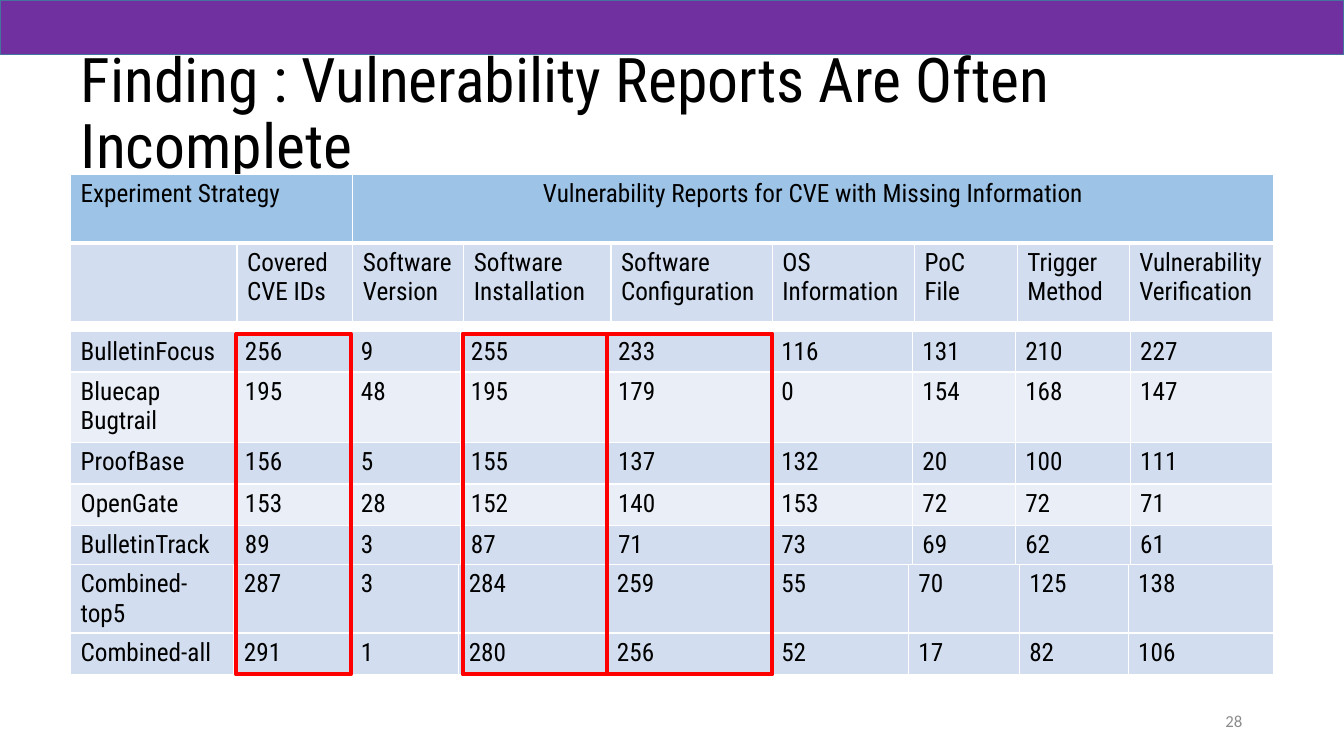
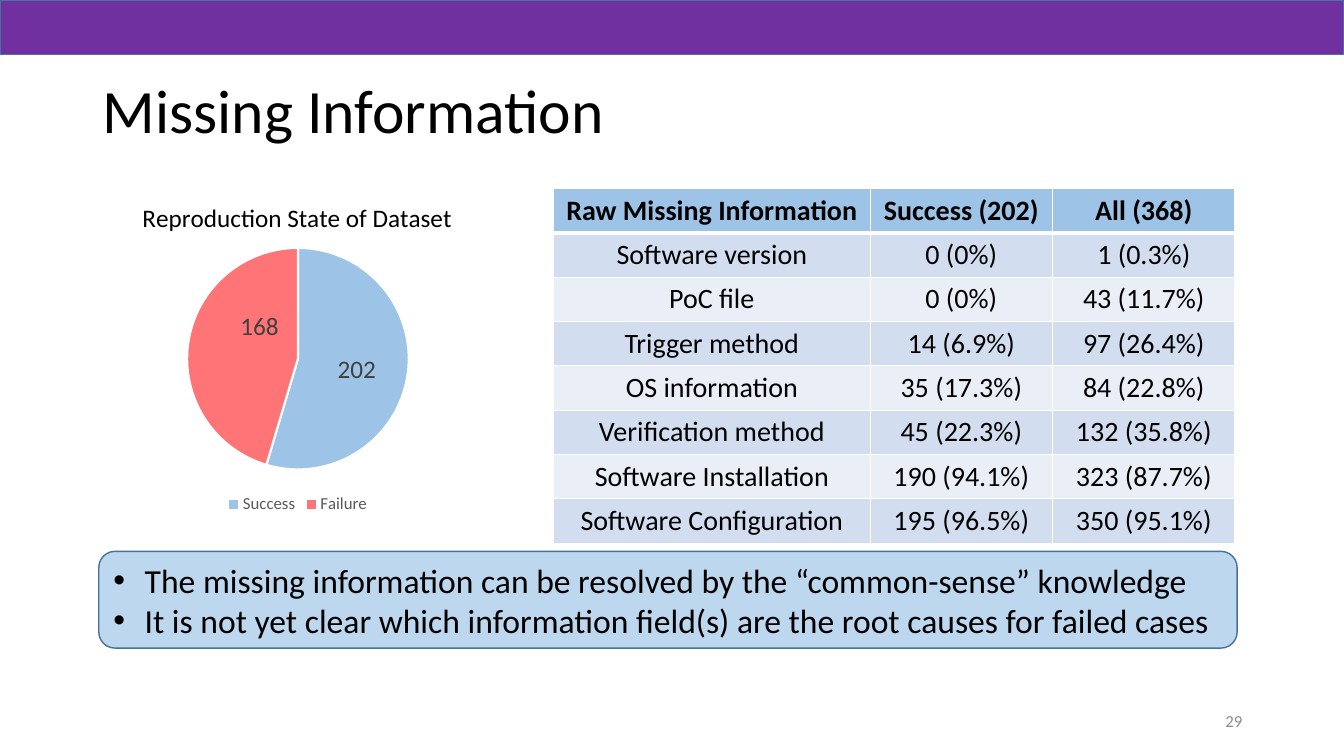
from lxml import etree
from pptx import Presentation
from pptx.chart.data import CategoryChartData
from pptx.dml.color import RGBColor
from pptx.enum.chart import XL_CHART_TYPE, XL_LABEL_POSITION, XL_LEGEND_POSITION
from pptx.enum.shapes import MSO_SHAPE
from pptx.enum.text import MSO_ANCHOR, MSO_AUTO_SIZE, PP_ALIGN
from pptx.oxml import parse_xml
from pptx.oxml.ns import nsdecls, qn
from pptx.util import Inches, Pt

LEFT, CENTER, RIGHT = PP_ALIGN.LEFT, PP_ALIGN.CENTER, PP_ALIGN.RIGHT
MIDDLE = MSO_ANCHOR.MIDDLE
RECTANGLE, ROUNDED = MSO_SHAPE.RECTANGLE, MSO_SHAPE.ROUNDED_RECTANGLE

BLACK = RGBColor(0, 0, 0)
WHITE = RGBColor(255, 255, 255)
PURPLE = RGBColor(0x70, 0x30, 0xA0)
EDGE_BLUE = RGBColor(0x43, 0x73, 0x9E)
HEADER_BLUE = RGBColor(0x9D, 0xC3, 0xE6)
NOTE_BLUE = RGBColor(0xBD, 0xD7, 0xEE)
ROW_DARK = RGBColor(0xD2, 0xDE, 0xEF)
ROW_LIGHT = RGBColor(0xEA, 0xEF, 0xF7)
RED = RGBColor(255, 0, 0)
FAILURE_RED = RGBColor(0xFF, 0x74, 0x76)
PAGE_GRAY = RGBColor(0x8C, 0x8C, 0x8C)
LEGEND_GRAY = RGBColor(0x59, 0x59, 0x59)
LABEL_GRAY = RGBColor(0x40, 0x40, 0x40)

BODY_FONT = "Calibri"
CONDENSED = "Roboto Condensed"
TITLE_ONLY = 5

REPORT_HEADINGS = [
    ["Experiment Strategy", "", "Vulnerability Reports for CVE with Missing Information"] + [""] * 6,
    ["", "Covered\nCVE IDs", "Software\nVersion", "Software\nInstallation",
     "Software\nConfiguration", "OS\nInformation", "PoC\nFile", "Trigger\nMethod",
     "Vulnerability\nVerification"],
]
REPORT_SOURCES = [
    ["BulletinFocus", 256, 9, 255, 233, 116, 131, 210, 227],
    ["Bluecap Bugtrail", 195, 48, 195, 179, 0, 154, 168, 147],
    ["ProofBase", 156, 5, 155, 137, 132, 20, 100, 111],
    ["OpenGate", 153, 28, 152, 140, 153, 72, 72, 71],
    ["BulletinTrack", 89, 3, 87, 71, 73, 69, 62, 61],
]
COMBINED_TOP = [["Combined-top5", 287, 3, 284, 259, 55, 70, 125, 138]]
COMBINED_ALL = [["Combined-all", 291, 1, 280, 256, 52, 17, 82, 106]]

HEADING_COLUMNS = [1.65, 1.15, 1.1, 1.46, 1.6, 1.41, 1.02, 1.11, 1.43]
SOURCE_COLUMNS = [1.63, 1.15, 1.09, 1.46, 1.62, 1.4, 1.02, 1.14, 1.41]
COMBINED_COLUMNS = [1.62, 1.16, 1.07, 1.47, 1.63, 1.36, 1.1, 1.08, 1.44]

MISSING_INFORMATION = [
    ["Raw Missing Information", "Success (202)", "All (368)"],
    ["Software version", "0 (0%)", "1 (0.3%)"],
    ["PoC file", "0 (0%)", "43 (11.7%)"],
    ["Trigger method", "14 (6.9%)", "97 (26.4%)"],
    ["OS information", "35 (17.3%)", "84 (22.8%)"],
    ["Verification method", "45 (22.3%)", "132 (35.8%)"],
    ["Software Installation", "190 (94.1%)", "323 (87.7%)"],
    ["Software Configuration", "195 (96.5%)", "350 (95.1%)"],
]
CONCLUSIONS = [
    "The missing information can be resolved by the “common-sense” knowledge",
    "It is not yet clear which information field(s) are the root causes for failed cases",
]


def inches(box):
    return [Inches(length) for length in box]


def set_font(font, size, color=BLACK, name=BODY_FONT, bold=False):
    font.size, font.name, font.bold = Pt(size), name, bold
    font.color.rgb = color


def add_box(page, box, line, width, fill=None, kind=RECTANGLE):
    shape = page.shapes.add_shape(kind, *inches(box))
    shape.shadow.inherit = False
    if fill is None:
        shape.fill.background()
    else:
        shape.fill.solid()
        shape.fill.fore_color.rgb = fill
    shape.line.color.rgb = line
    shape.line.width = Pt(width)
    return shape


def add_page(deck, title, title_box, number, title_font=BODY_FONT):
    """Add a slide with its title, top band and page number."""
    page = deck.slides.add_slide(deck.slide_layouts[TITLE_ONLY])
    heading = page.shapes.title
    heading.left, heading.top, heading.width, heading.height = inches(title_box)
    frame = heading.text_frame
    frame.text = title
    frame.auto_size = MSO_AUTO_SIZE.NONE
    frame.vertical_anchor = MIDDLE
    para = frame.paragraphs[0]
    para.alignment, para.line_spacing = LEFT, 0.9
    set_font(para.font, 44, name=title_font)

    add_box(page, (0, 0, 13.33, 0.54), EDGE_BLUE, 1, PURPLE)

    frame = page.shapes.add_textbox(*inches((9.42, 6.95, 3, 0.4))).text_frame
    frame.word_wrap = True
    frame.vertical_anchor = MIDDLE
    para = frame.paragraphs[0]
    para.text, para.alignment = str(number), RIGHT
    set_font(para.font, 12, PAGE_GRAY)
    return page


def set_borders(cell, top, bottom):
    properties = cell._tc.get_or_add_tcPr()
    for side, width in (("lnL", 1), ("lnR", 1), ("lnT", top), ("lnB", bottom)):
        line = etree.SubElement(properties, qn(f"a:{side}"), w=str(Pt(width)))
        fill = etree.SubElement(line, qn("a:solidFill"))
        etree.SubElement(fill, qn("a:srgbClr"), val=str(WHITE))


def add_grid(page, left, top, columns, heights, rows, fills, size, font,
             align=LEFT, header=False, bold_header=False):
    """Add a table with one fill per row and a thick rule below a header."""
    frame = page.shapes.add_table(
        len(rows), len(columns), *inches((left, top, sum(columns), sum(heights))))
    table = frame.table
    table.first_row = table.horz_banding = False
    for column, width in zip(table.columns, columns):
        column.width = Inches(width)
    for index, (row, height, values) in enumerate(zip(table.rows, heights, rows)):
        row.height = Inches(height)
        is_header = header and index == 0
        for cell, value in zip(row.cells, values):
            set_borders(cell, 3 if header and index == 1 else 1, 3 if is_header else 1)
            cell.fill.solid()
            cell.fill.fore_color.rgb = fills[index]
            cell.text_frame.text = str(value)
            for para in cell.text_frame.paragraphs:
                para.alignment = align
                set_font(para.font, size, name=font, bold=is_header and bold_header)
    return table


def banded(count):
    return [(ROW_DARK, ROW_LIGHT)[index % 2] for index in range(count)]


def set_layout(parent, index, **values):
    """Place a chart part by fractions of the chart; w marks a plot area."""
    for old in parent.findall(qn("c:layout")):
        parent.remove(old)
    layout = parse_xml(f"<c:layout {nsdecls('c')}><c:manualLayout/></c:layout>")
    settings = dict(values)
    if "w" in values:
        settings = {"layoutTarget": "inner", "xMode": "edge", "yMode": "edge", **values}
    for name, value in settings.items():
        etree.SubElement(layout[0], qn(f"c:{name}"), val=str(value))
    parent.insert(index, layout)


def add_state_pie(page, box):
    data = CategoryChartData()
    data.categories = ["Success", "Failure"]
    data.add_series("Series 1", (202, 168))
    chart = page.shapes.add_chart(XL_CHART_TYPE.PIE, *inches(box), data).chart
    set_font(chart.font, 10)

    title = chart.chart_title.text_frame
    title.text = "Reproduction State of Dataset"
    set_font(title.paragraphs[0].font, 18)
    chart.has_legend = True
    chart.legend.position = XL_LEGEND_POSITION.BOTTOM
    chart.legend.include_in_layout = False
    set_font(chart.legend.font, 12, LEGEND_GRAY)

    plot = chart.plots[0]
    plot.vary_by_categories = True
    plot.has_data_labels = True
    plot.data_labels.show_value = True
    plot.data_labels.show_percentage = False
    set_font(plot.data_labels.font, 18, LABEL_GRAY)
    for index, color in enumerate((HEADER_BLUE, FAILURE_RED)):
        point = plot.series[0].points[index]
        point.format.fill.solid()
        point.format.fill.fore_color.rgb = color
        point.format.line.color.rgb = WHITE
        point.format.line.width = Pt(1.5)
        set_font(point.data_label.font, 18, LABEL_GRAY)
        point.data_label.position = XL_LABEL_POSITION.CENTER

    root = chart.element
    set_layout(root.find(f".//{qn('c:title')}"), 1,
               xMode="edge", yMode="edge", x=0.11, y=0.06)
    set_layout(root.find(f".//{qn('c:plotArea')}"), 0, x=0.23, y=0.21, w=0.54, h=0.65)
    offsets = ((0.01, 0.01), (0.04, -0.07))
    for label, (x, y) in zip(root.iter(qn("c:dLbl")), offsets):
        set_layout(label, 1, x=x, y=y)


def add_conclusions(page, box):
    frame = add_box(page, box, EDGE_BLUE, 1, NOTE_BLUE, ROUNDED).text_frame
    frame.word_wrap = True
    frame.vertical_anchor = MIDDLE
    frame.text = "\n".join(CONCLUSIONS)
    for para in frame.paragraphs:
        para.alignment = LEFT
        set_font(para.font, 24)
        properties = para._p.get_or_add_pPr()
        properties.set("marL", str(Inches(0.31)))
        properties.set("indent", str(Inches(-0.31)))
        bullet_font = parse_xml(f'<a:buFont {nsdecls("a")} typeface="Arial"/>')
        bullet = parse_xml(f'<a:buChar {nsdecls("a")} char="•"/>')
        properties.insert(0, bullet_font)
        properties.insert(1, bullet)


def add_finding_page(deck):
    left = 0.7
    page = add_page(deck, "Finding : Vulnerability Reports Are Often Incomplete",
                    (left, 0.42, 11.93, 1.45), 28, CONDENSED)
    headings = add_grid(page, left, 1.73, HEADING_COLUMNS, [0.68, 0.78], REPORT_HEADINGS,
                        [HEADER_BLUE, ROW_DARK], 18, CONDENSED, header=True)
    headings.cell(0, 0).merge(headings.cell(0, 1))
    headings.cell(0, 2).merge(headings.cell(0, 8))
    headings.cell(0, 2).text_frame.paragraphs[0].alignment = CENTER

    for top, columns, heights, rows in (
        (3.29, SOURCE_COLUMNS, [0.39, 0.69, 0.41, 0.41, 0.41], REPORT_SOURCES),
        (5.6, COMBINED_COLUMNS, [0.68], COMBINED_TOP),
        (6.28, COMBINED_COLUMNS, [0.41], COMBINED_ALL),
    ):
        add_grid(page, left, top, columns, heights, rows, banded(len(rows)), 18, CONDENSED)

    for frame_left, width in ((4.59, 1.43), (6.02, 1.64), (2.34, 1.14)):
        add_box(page, (frame_left, 3.31, width, 3.38), RED, 3)


def add_missing_page(deck):
    page = add_page(deck, "Missing Information", (0.92, 0.4, 11.5, 1.45), 29)
    add_state_pie(page, (0.92, 1.74, 4.07, 3.4))
    count = len(MISSING_INFORMATION)
    add_grid(page, 5.49, 1.87, [3.14, 1.81, 1.81], [0.44] * count, MISSING_INFORMATION,
             [HEADER_BLUE] + banded(count - 1), 20, BODY_FONT, CENTER,
             header=True, bold_header=True)
    add_conclusions(page, (0.98, 5.47, 11.29, 0.96))


def main():
    deck = Presentation()
    deck.slide_width, deck.slide_height = inches((13.33, 7.5))
    add_finding_page(deck)
    add_missing_page(deck)
    deck.save("out.pptx")


if __name__ == "__main__":
    main()
